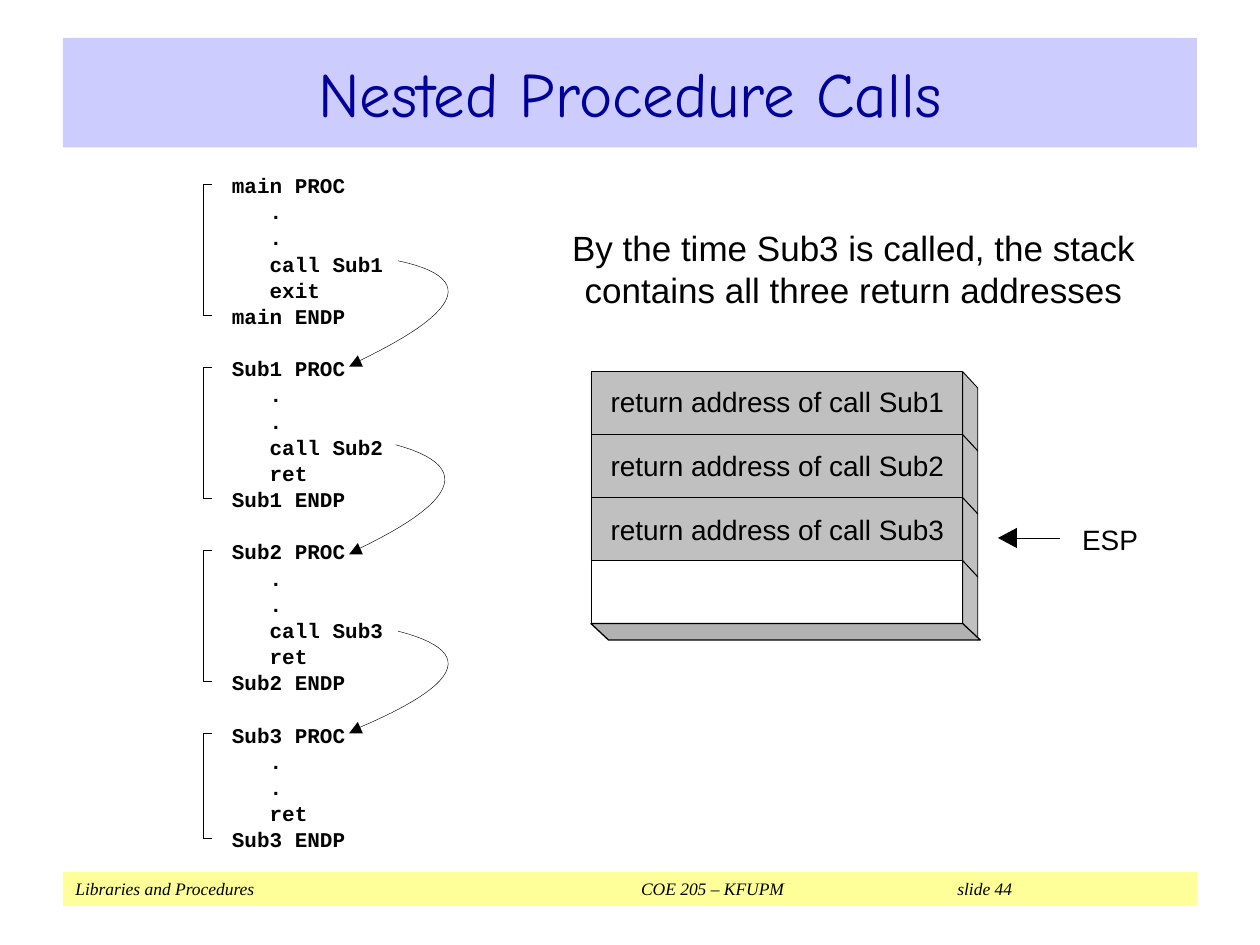
from typing import NamedTuple, Optional

from lxml import etree
from pptx import Presentation
from pptx.dml.color import RGBColor
from pptx.enum.shapes import MSO_CONNECTOR, MSO_SHAPE
from pptx.enum.text import MSO_ANCHOR, PP_ALIGN
from pptx.oxml.ns import qn
from pptx.util import Inches, Pt

RECTANGLE, PARALLELOGRAM = MSO_SHAPE.RECTANGLE, MSO_SHAPE.PARALLELOGRAM
STRAIGHT = MSO_CONNECTOR.STRAIGHT
LEFT, CENTER = PP_ALIGN.LEFT, PP_ALIGN.CENTER
TOP, MIDDLE = MSO_ANCHOR.TOP, MSO_ANCHOR.MIDDLE

BLACK = RGBColor(0x00, 0x00, 0x00)
WHITE = RGBColor(0xFF, 0xFF, 0xFF)
NAVY = RGBColor(0x00, 0x00, 0x99)
LAVENDER = RGBColor(0xCC, 0xCC, 0xFF)
YELLOW = RGBColor(0xFF, 0xFF, 0x99)
GRAY = RGBColor(0xC0, 0xC0, 0xC0)
DARK_GRAY = RGBColor(0xB2, 0xB2, 0xB2)

SLIDE_WIDTH, SLIDE_HEIGHT = 10, 7.5
BAND_LEFT, BAND_WIDTH = SLIDE_WIDTH * 0.05, SLIDE_WIDTH * 0.9

# Code listing: one text row per line, one column per character
CODE_LEFT, CODE_TOP = 1.84, 1.37
LISTING_HEIGHT, LISTING_ROWS = 5.4, 26
ROW = LISTING_HEIGHT / LISTING_ROWS
COLUMN = 0.1
INDENT = 3
PROCEDURE_ROWS = 7
BRACKET_LEFT, BRACKET_ARM = 1.61, 0.07

# Stack: four equal cells with a slanted side
STACK_LEFT, STACK_TOP, CELL_WIDTH, CELL_HEIGHT = 4.69, 2.95, 2.95, 0.5
DEPTH_X, DEPTH_Y = 0.12, 0.13
LABEL_STEP = 0.51


class Point(NamedTuple):
    x: float
    y: float


class Box(NamedTuple):
    left: float
    top: float
    width: float
    height: float


class Procedure(NamedTuple):
    name: str
    body: tuple[str, ...]


class CallArrow(NamedTuple):
    start: Point
    control: Point
    end: Point


PROCEDURES = (
    Procedure("main", (".", ".", "call Sub1", "exit")),
    Procedure("Sub1", (".", ".", "call Sub2", "ret")),
    Procedure("Sub2", (".", ".", "call Sub3", "ret")),
    Procedure("Sub3", (".", ".", "ret")),
)
CALL_ARROWS = (
    CallArrow(Point(3.16, 2.07), Point(4.09, 2.27), Point(2.84, 2.87)),
    CallArrow(Point(3.14, 3.53), Point(4.05, 3.78), Point(2.84, 4.36)),
    CallArrow(Point(3.16, 5.01), Point(4.09, 5.25), Point(2.84, 5.78)),
)
STACK_CELLS = ("return address of call Sub1", "return address of call Sub2",
               "return address of call Sub3", "")


def inches(values) -> list[int]:
    return [Inches(value) for value in values]


def write_text(shape, text: str, *, font: str, size: float, color=BLACK, bold=False,
               italic=False, align=CENTER, anchor=TOP, wrap=True,
               margins=(0.1, 0.05, 0.1, 0.05)) -> None:
    frame = shape.text_frame
    frame.word_wrap = wrap
    frame.vertical_anchor = anchor
    (frame.margin_left, frame.margin_top,
     frame.margin_right, frame.margin_bottom) = inches(margins)
    paragraph = frame.paragraphs[0]
    paragraph.alignment = align
    run = paragraph.add_run()
    run.text = text
    run.font.name, run.font.size = font, Pt(size)
    run.font.bold, run.font.italic = bold, italic
    run.font.color.rgb = color


def add_text(slide, box: Box, text: str, **text_format) -> None:
    write_text(slide.shapes.add_textbox(*inches(box)), text, **text_format)


def add_label(slide, box: Box, text: str) -> None:
    add_text(slide, box, text, font="Arial", size=16, wrap=False, margins=(0, 0, 0, 0))


def style_shape(shape, fill: Optional[RGBColor], line_width: float) -> None:
    """Flat look; a line width of 0 means no outline."""
    shape.shadow.inherit = False
    if fill is None:
        shape.fill.background()
    else:
        shape.fill.solid()
        shape.fill.fore_color.rgb = fill
    if line_width:
        shape.line.color.rgb = BLACK
        shape.line.width = Pt(line_width)
    else:
        shape.line.fill.background()


def add_preset(slide, box: Box, fill: RGBColor, line_width: float = 0, kind=RECTANGLE):
    shape = slide.shapes.add_shape(kind, *inches(box))
    style_shape(shape, fill, line_width)
    return shape


def add_outline(slide, points: list[Point], fill=None, line_width: float = 0,
                close=True) -> None:
    first, *rest = [tuple(inches(point)) for point in points]
    builder = slide.shapes.build_freeform(*first)
    builder.add_line_segments(rest, close=close)
    style_shape(builder.convert_to_shape(), fill, line_width)


def add_line(slide, start: Point, end: Point, width: float) -> None:
    line = slide.shapes.add_connector(STRAIGHT, *inches(start + end))
    line.line.color.rgb = BLACK
    line.line.width = Pt(width)
    etree.SubElement(line._element.spPr, qn("a:effectLst"))


def add_tab_stops(shape, positions: tuple[float, ...]) -> None:
    properties = shape.text_frame.paragraphs[0]._p.get_or_add_pPr()
    tab_list = etree.SubElement(properties, qn("a:tabLst"))
    for position in positions:
        etree.SubElement(tab_list, qn("a:tab"), pos=str(Inches(position)), algn="l")


def draw_procedure(slide, procedure: Procedure, first_row: int) -> None:
    lines = [f"{procedure.name} PROC", *procedure.body, f"{procedure.name} ENDP"]
    for index, text in enumerate(lines):
        indent = INDENT if 0 < index < len(lines) - 1 else 0
        box = Box(CODE_LEFT, CODE_TOP + (first_row + index) * ROW,
                  (indent + len(text)) * COLUMN, 0.2)
        add_text(slide, box, text, font="Courier New", size=12, bold=True, align=LEFT,
                 wrap=False, margins=(indent * COLUMN, 0, 0, 0))

    top = CODE_TOP + first_row * ROW + 0.09
    bottom = top + (len(lines) - 1) * ROW
    add_line(slide, Point(BRACKET_LEFT, top), Point(BRACKET_LEFT, bottom), 0.25)
    for y in (top, bottom):
        add_line(slide, Point(BRACKET_LEFT, y), Point(BRACKET_LEFT + BRACKET_ARM, y), 0.25)


def draw_call_arrow(slide, arrow: CallArrow, segments: int = 25) -> None:
    """Quadratic curve from a call to the procedure it enters."""
    curve = []
    for step in range(segments + 1):
        t = step / segments
        curve.append(Point(*((1 - t) ** 2 * a + 2 * t * (1 - t) * b + t ** 2 * c
                             for a, b, c in zip(*arrow))))
    add_outline(slide, curve, line_width=0.25, close=False)
    x, y = arrow.end
    add_outline(slide, [Point(x - 0.07, y + 0.04), Point(x + 0.04, y + 0.04),
                        Point(x, y - 0.05)], BLACK)


def draw_stack(slide) -> None:
    right = STACK_LEFT + CELL_WIDTH
    for index, text in enumerate(STACK_CELLS):
        top = STACK_TOP + index * CELL_HEIGHT
        bottom = top + CELL_HEIGHT
        add_outline(slide, [Point(right + DEPTH_X, bottom + DEPTH_Y), Point(right, bottom),
                            Point(right, top), Point(right + DEPTH_X, top + DEPTH_Y)],
                    GRAY, 0.5)
        add_preset(slide, Box(STACK_LEFT, top, CELL_WIDTH, CELL_HEIGHT),
                   GRAY if text else WHITE, 0.5)
        if text:
            add_label(slide, Box(4.82, 3.05 + index * LABEL_STEP, 2.7, 0.27), text)
    base_top = STACK_TOP + len(STACK_CELLS) * CELL_HEIGHT
    base = add_preset(slide, Box(STACK_LEFT, base_top, 3.09, DEPTH_Y), DARK_GRAY, 0.75,
                      PARALLELOGRAM)
    base.adjustments[0] = 1.07
    base._element.spPr.xfrm.set("flipV", "1")

    add_line(slide, Point(8.41, 4.27), Point(8.05, 4.27), 0.5)
    add_outline(slide, [Point(8.07, 4.19), Point(7.92, 4.27), Point(8.07, 4.35)], BLACK)
    add_label(slide, Box(8.56, 4.15, 0.5, 0.27), "ESP")


def main() -> None:
    presentation = Presentation()
    presentation.slide_width, presentation.slide_height = inches((SLIDE_WIDTH, SLIDE_HEIGHT))
    slide = presentation.slides.add_slide(presentation.slide_layouts[6])

    footer = add_preset(slide, Box(BAND_LEFT, 6.92, BAND_WIDTH, 0.27), YELLOW)
    write_text(footer, "Libraries and Procedures\tCOE 205 – KFUPM\tslide 44",
               font="Times New Roman", size=10, italic=True, align=LEFT)
    add_tab_stops(footer, (4.49, 7))
    title = add_preset(slide, Box(BAND_LEFT, 0.3, BAND_WIDTH, 0.87), LAVENDER)
    write_text(title, "Nested Procedure Calls", font="Comic Neue", size=36, color=NAVY,
               anchor=MIDDLE)
    add_text(slide, Box(4.33, 1.65, 4.89, 0.97),
             "By the time Sub3 is called, the stack contains all three return addresses",
             font="Arial", size=20, margins=(0.1, 0.15, 0.1, 0.15))

    for index, procedure in enumerate(PROCEDURES):
        draw_procedure(slide, procedure, index * PROCEDURE_ROWS)
    for arrow in CALL_ARROWS:
        draw_call_arrow(slide, arrow)
    draw_stack(slide)
    presentation.save("out.pptx")


if __name__ == "__main__":
    main()
